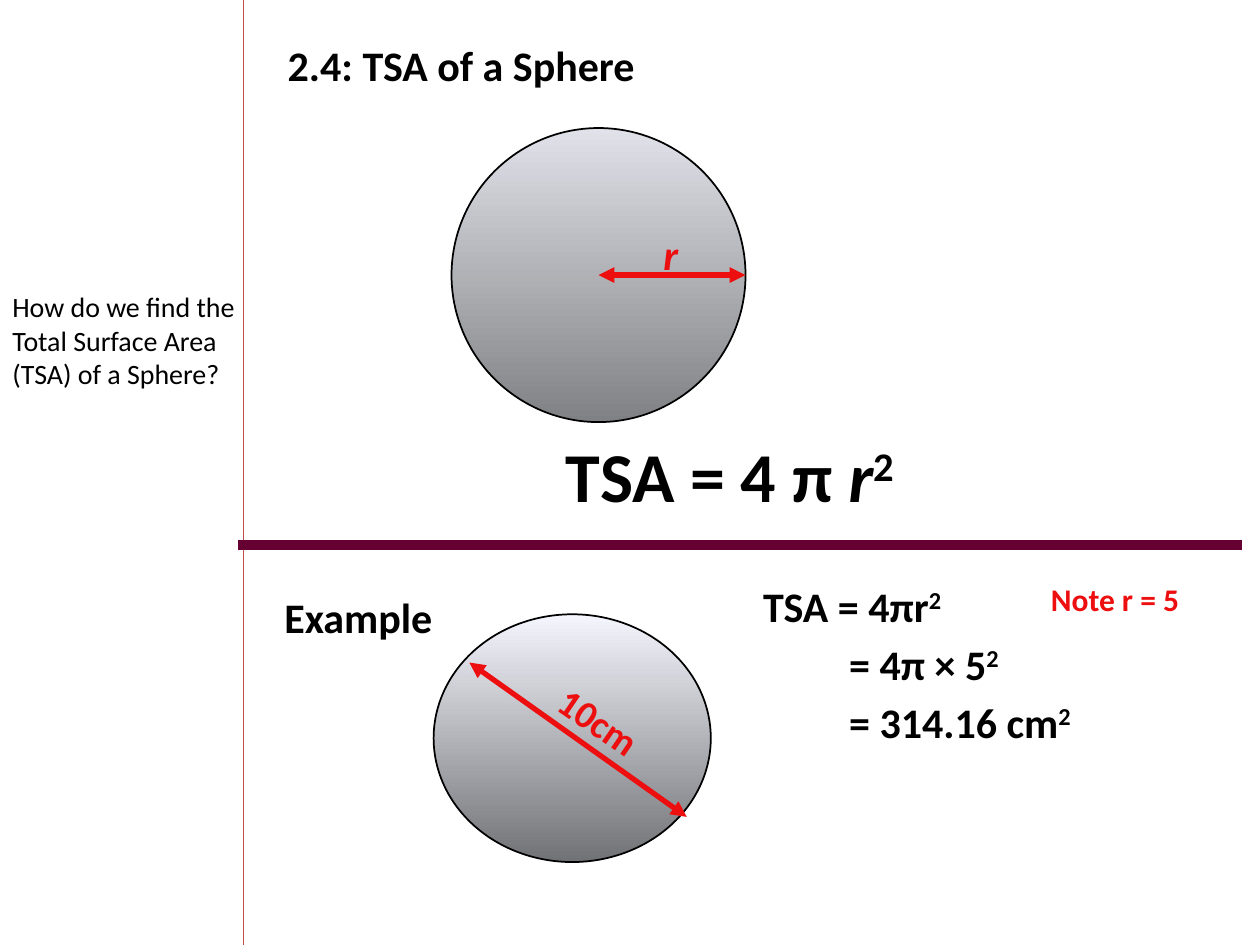
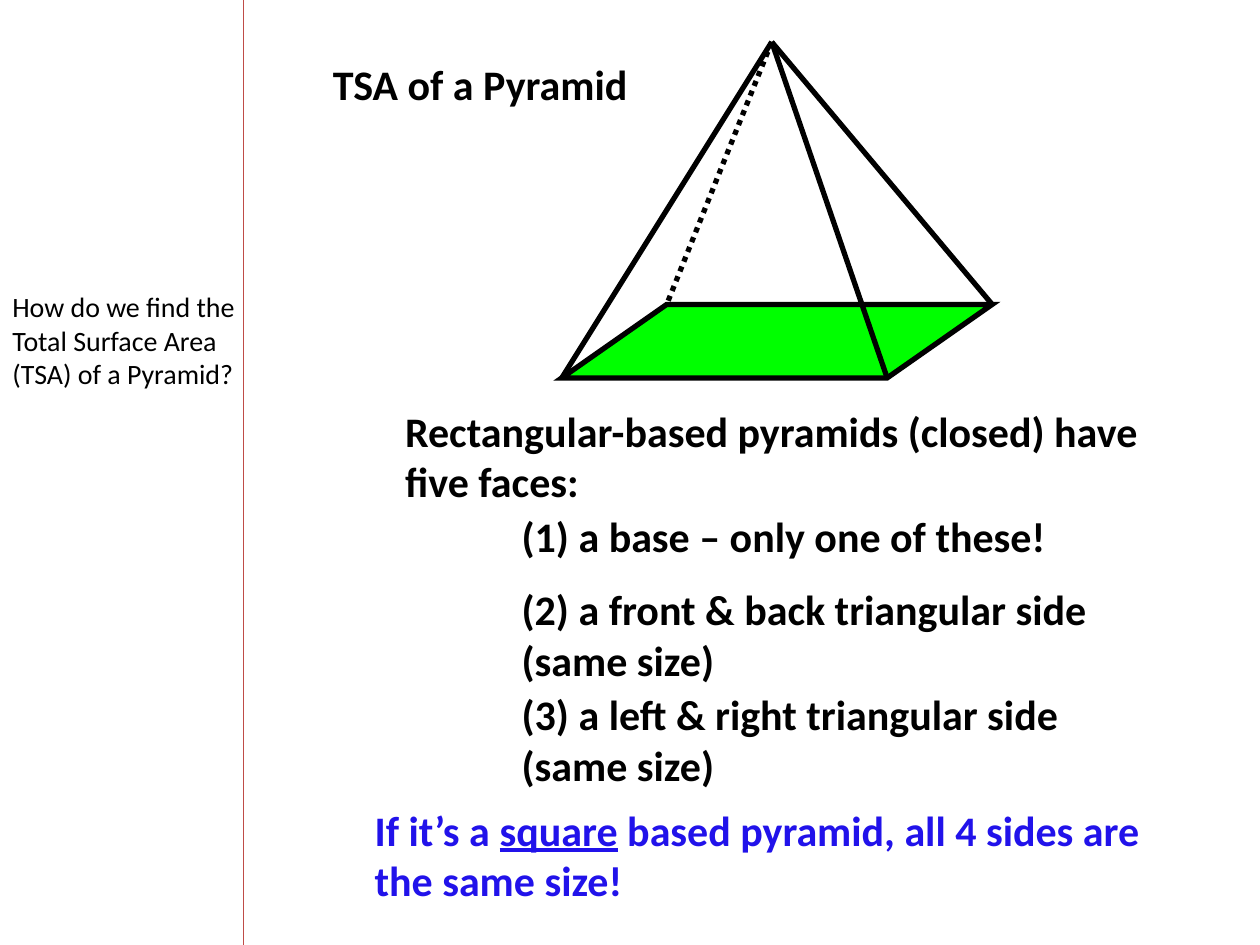
from dataclasses import dataclass

from lxml.etree import SubElement
from pptx import Presentation
from pptx.dml.color import RGBColor
from pptx.enum.dml import MSO_LINE
from pptx.enum.shapes import MSO_CONNECTOR, MSO_SHAPE
from pptx.enum.text import MSO_ANCHOR, MSO_AUTO_SIZE, PP_ALIGN
from pptx.oxml.ns import qn
from pptx.util import Inches, Pt

COLUMNS, ROWS = 120, 90
CELL = Inches(10) / COLUMNS
FONT = "Calibri"
BLACK = RGBColor(0x00, 0x00, 0x00)
RED = RGBColor(0xED, 0x0F, 0x0F)
BLUE = RGBColor(0x21, 0x12, 0xEA)
GREEN = RGBColor(0x00, 0xFF, 0x00)
MARGIN_RED = RGBColor(0xBF, 0x4C, 0x48)
PLUM = RGBColor(0x66, 0x00, 0x33)
PALE = RGBColor(0xF5, 0xF6, 0xFD)
SLATE = RGBColor(0x71, 0x72, 0x75)
SOFT_PALE = RGBColor(0xE1, 0xE2, 0xE9)
SOFT_SLATE = RGBColor(0x80, 0x81, 0x84)

BOLD = {"size": Pt(24), "bold": True, "color": BLACK}
RED_BOLD = BOLD | {"color": RED}
BLUE_BOLD = BOLD | {"color": BLUE}
FORMULA = BOLD | {"size": Pt(40)}
SIDE_QUESTION = {"size": Pt(16), "bold": False, "color": BLACK}


@dataclass
class Box:
    """A region of the slide, measured in grid columns and rows."""
    column: float
    row: float
    columns: float
    rows: float

    def area(self, column, row, columns, rows):
        return Box(self.column + column, self.row + row, columns, rows)

    def point(self, column, row):
        return self.column + column, self.row + row

    def lengths(self):
        return [round(cells * CELL) for cells in
                (self.column, self.row, self.columns, self.rows)]


SIDE = Box(0, 0, 23.2, ROWS)
MAIN = Box(24, 0, 96, ROWS)
LESSON = MAIN.area(0, 0, 96, 52)
EXAMPLE = MAIN.area(0, 52, 96, 38)


def write(text_frame, runs, text_format, align=PP_ALIGN.LEFT):
    """Fill the frame with (text, changes) runs, or with one plain string."""
    settings = {"word_wrap": True, "auto_size": MSO_AUTO_SIZE.NONE,
                "vertical_anchor": MSO_ANCHOR.TOP}
    for name, value in settings.items():
        setattr(text_frame, name, value)
    paragraph = text_frame.paragraphs[0]
    paragraph.alignment = align
    for text, changes in [(runs, {})] if isinstance(runs, str) else runs:
        run = paragraph.add_run()
        run.text = text
        run.font.name = FONT
        for name, value in (text_format | changes).items():
            if name == "color":
                run.font.color.rgb = value
            elif name == "baseline":
                run._r.get_or_add_rPr().set("baseline", value)
            else:
                setattr(run.font, name, value)


def squared(text):
    return [(text, {}), ("2", {"baseline": "30000"})]


def add_text(slide, box, runs, text_format=BOLD, align=PP_ALIGN.LEFT, rotation=0):
    shape = slide.shapes.add_textbox(*box.lengths())
    shape.rotation = rotation
    write(shape.text_frame, runs, text_format, align)


def add_title(slide, box, text):
    title = slide.shapes.title
    title.left, title.top, title.width, title.height = box.lengths()
    write(title.text_frame, text, BOLD)


def add_line(slide, start, end, color, width, dash=None, arrows=False):
    ends = [round(cells * CELL) for cells in (*start, *end)]
    connector = slide.shapes.add_connector(MSO_CONNECTOR.STRAIGHT, *ends)
    connector.line.color.rgb = color
    connector.line.width = Pt(width)
    if dash:
        connector.line.dash_style = dash
    if arrows:
        for tag in ("a:headEnd", "a:tailEnd"):
            SubElement(connector.line._get_or_add_ln(), qn(tag), type="triangle")
    SubElement(connector._element.spPr, qn("a:effectLst"))


def add_outlined(slide, kind, box, width):
    shape = slide.shapes.add_shape(kind, *box.lengths())
    shape.shadow.inherit = False
    shape.line.color.rgb = BLACK
    shape.line.width = Pt(width)
    return shape


def add_ball(slide, box, top_color, bottom_color):
    ball = add_outlined(slide, MSO_SHAPE.OVAL, box, 1)
    ball.fill.gradient()
    ball.fill.gradient_angle = 270
    for stop, color in zip(ball.fill.gradient_stops, (top_color, bottom_color)):
        stop.color.rgb = color


def add_lesson_slide(presentation, solid):
    """Start a slide with the margin line and its question about the solid."""
    slide = presentation.slides.add_slide(presentation.slide_layouts[5])
    add_line(slide, SIDE.point(SIDE.columns, 0),
             SIDE.point(SIDE.columns, SIDE.rows), MARGIN_RED, 0.75)
    add_text(slide, SIDE.area(0, 27, 24.1, 11),
             f"How do we find the Total Surface Area (TSA) of a {solid}?",
             SIDE_QUESTION)
    return slide


def place_sphere_formula(slide, box):
    add_title(slide, box.area(2.2, 3.2, 38, 6), "2.4: TSA of a Sphere")
    add_text(slide, box.area(8, 40.6, 75, 9.2),
             [("TSA = 4 π ", {}), ("r", {"italic": True}),
              ("2", {"baseline": "30000"})], FORMULA, PP_ALIGN.CENTER)
    sphere = box.area(19, 12.2, 28, 28)
    add_ball(slide, sphere, SOFT_PALE, SOFT_SLATE)
    add_text(slide, sphere.area(19, 9, 8, 6), "r", RED_BOLD | {"italic": True})
    middle = sphere.rows / 2
    add_line(slide, sphere.point(sphere.columns / 2, middle),
             sphere.point(sphere.columns, middle), RED, 3, arrows=True)


def place_sphere_example(slide, box):
    sphere = box.area(17.3, 6.5, 26.4, 23.6)
    add_ball(slide, sphere, PALE, SLATE)
    add_text(slide, sphere.area(10.4, 7.6, 11.2, 5.6), "10cm",
             RED_BOLD | {"size": Pt(22)}, rotation=34.4)
    add_line(slide, sphere.point(3.4, 4.6), sphere.point(24.1, 19.3),
             RED, 3, arrows=True)
    add_text(slide, box.area(1.9, 3.7, 19, 6), "Example")
    add_line(slide, box.point(-1.3, -0.1), box.point(94.3, -0.1), PLUM, 6)
    working = ("TSA = 4πr", "= 4π × 5", "= 314.16 cm")
    for index, step in enumerate(working):
        indent = 8.2 if index else 0
        add_text(slide, box.area(47.5 + indent, 2.7 + 5.5 * index, 30, 6),
                 squared(step))
    add_text(slide, box.area(74.9, 2.7, 20, 5), "Note r = 5",
             RED_BOLD | {"size": Pt(18)})


def place_pyramid(slide, box):
    depth, slant = 7, 10
    back = box.rows - depth
    base = add_outlined(slide, MSO_SHAPE.PARALLELOGRAM,
                        box.area(0, back, box.columns, depth), 3)
    base.adjustments[0] = slant / depth
    base.fill.solid()
    base.fill.fore_color.rgb = GREEN
    SubElement(base.line._get_or_add_ln(), qn("a:miter"), lim="800000")
    corners = [(0, box.rows, None), (box.columns - slant, box.rows, None),
               (box.columns, back, None), (slant, back, MSO_LINE.ROUND_DOT)]
    for column, row, dash in corners:
        add_line(slide, box.point(20, 0), box.point(column, row), BLACK, 3, dash)


def place_face_list(slide, box):
    add_text(slide, box.area(13.4, 0, 73, 11),
             "Rectangular-based pyramids (closed) have five faces:")
    faces = [(10, 57, "(1) a base – only one of these!"),
             (17, 64, "(2) a front & back triangular side (same size)"),
             (27, 58, "(3) a left & right triangular side (same size)")]
    for row, columns, face in faces:
        add_text(slide, box.area(24.5, row, columns, 11), face)
    add_text(slide, box.area(10.5, 38, 79, 11),
             [("If it’s a ", {}), ("square", {"underline": True}),
              (" based pyramid, all 4 sides are the same size!", {})], BLUE_BOLD)


def main():
    presentation = Presentation()
    presentation.slide_width = round(COLUMNS * CELL)
    presentation.slide_height = round(ROWS * CELL)

    sphere_slide = add_lesson_slide(presentation, "Sphere")
    place_sphere_formula(sphere_slide, LESSON)
    place_sphere_example(sphere_slide, EXAMPLE)

    pyramid_slide = add_lesson_slide(presentation, "Pyramid")
    add_title(pyramid_slide, MAIN.area(6.5, 5, 36, 6), "TSA of a Pyramid")
    place_pyramid(pyramid_slide, MAIN.area(29.5, 4, 41, 32))
    place_face_list(pyramid_slide, MAIN.area(0, 38, 96, 52))

    presentation.save("out.pptx")


if __name__ == "__main__":
    main()
